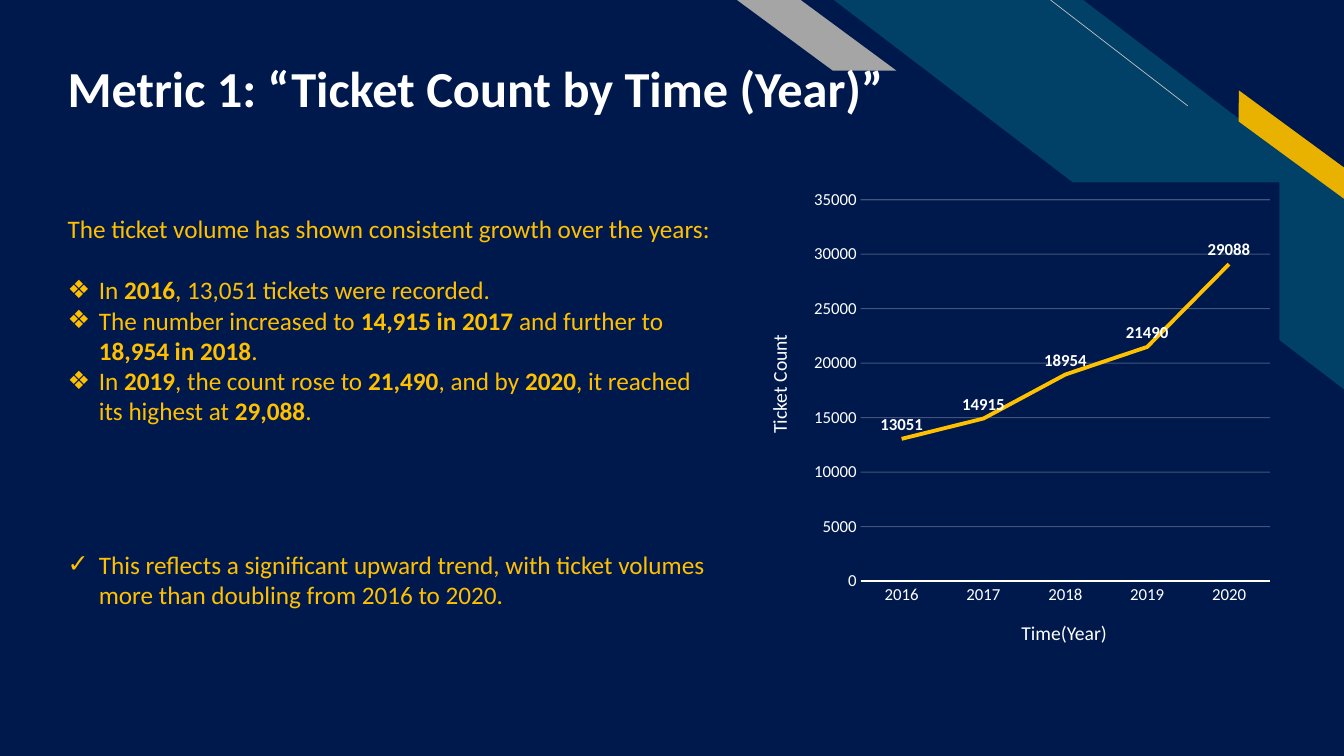
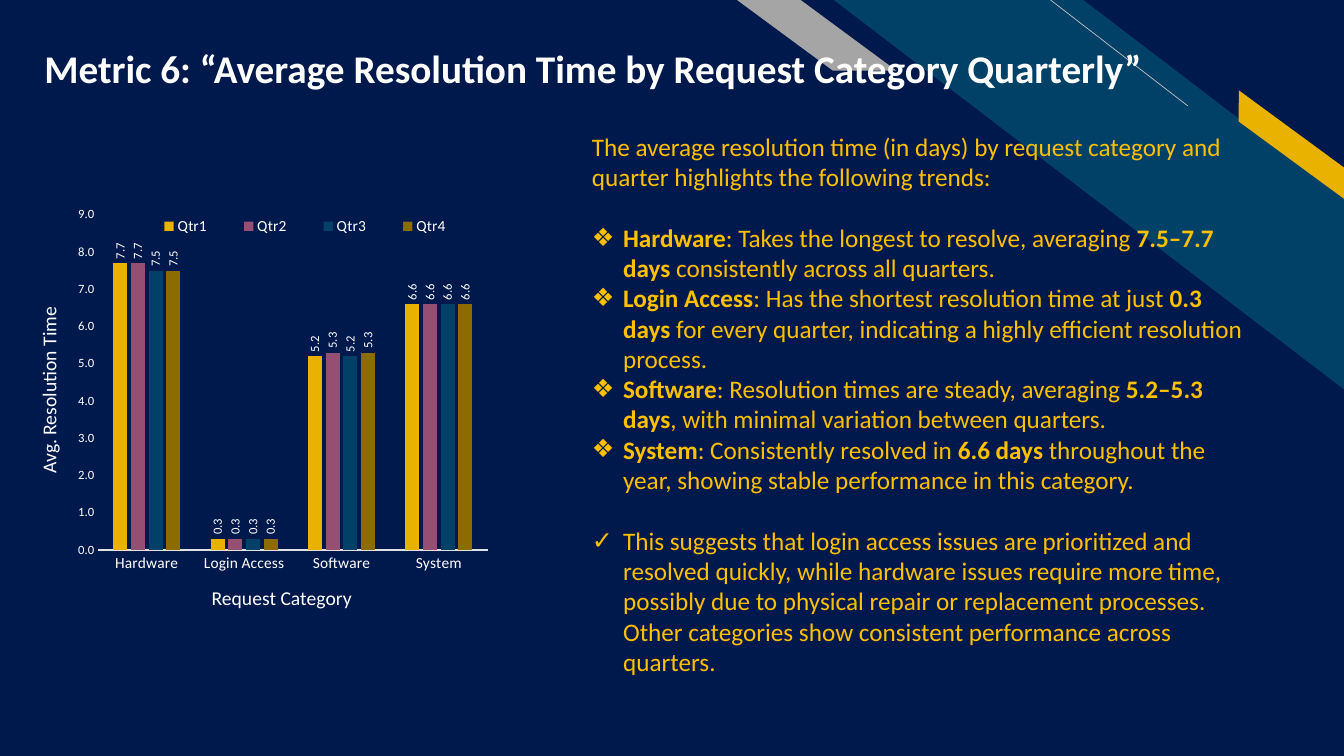
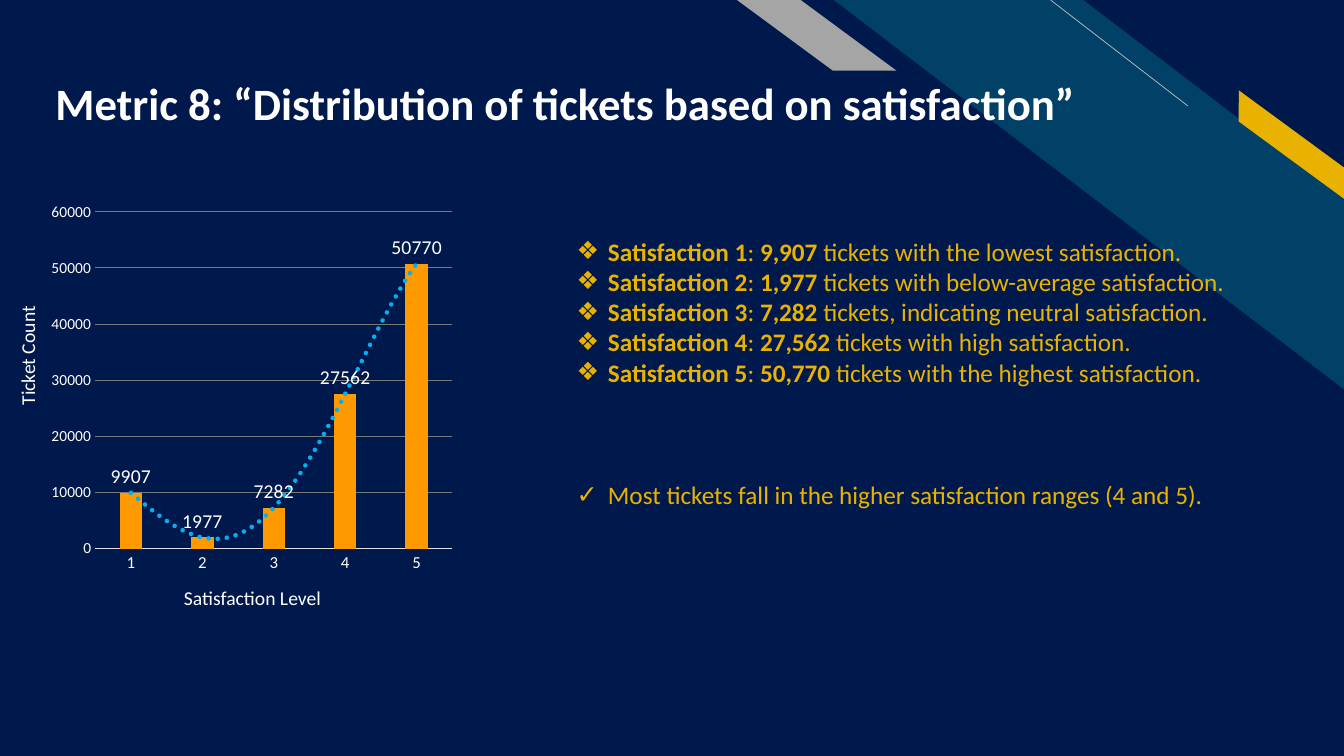
"""Build three ticket-metric slides, each with a chart and its findings."""
from lxml import etree
from pptx import Presentation
from pptx.chart.data import CategoryChartData
from pptx.dml.color import RGBColor
from pptx.enum.chart import XL_CHART_TYPE as CT, XL_LABEL_POSITION as LP
from pptx.enum.chart import XL_LEGEND_POSITION, XL_MARKER_STYLE, XL_TICK_MARK
from pptx.enum.shapes import MSO_CONNECTOR, MSO_SHAPE as MS
from pptx.enum.text import MSO_ANCHOR, MSO_AUTO_SIZE, PP_ALIGN
from pptx.oxml import parse_xml
from pptx.oxml.ns import nsdecls, qn
from pptx.util import Inches, Pt

FONT = "Calibri"
NAVY, TEAL, GOLD, AMBER = "00194C", "014067", "EAB200", "FFC000"
WHITE, GREY, PALE = "FFFFFF", "A5A5A5", "E2E2E2"
DIAMOND, CHECK = "❖", "✓"
LINE = 22

SLIDES = [
    dict(
        title=("Metric 1: “Ticket Count by Time (Year)”", 36, (0.57, 0.51, 9.11, 0.67)),
        box=(0.57, 2.07, 6.67, 4.04), color=AMBER,
        body=[
            ("", 0, "The ticket volume has shown consistent growth over the years:"),
            (DIAMOND, 1, "In **2016**, 13,051 tickets were recorded."),
            (DIAMOND, 0, "The number increased to **14,915 in 2017** and further to **18,954 in 2018**."),
            (DIAMOND, 0, "In **2019**, the count rose to **21,490**, and by **2020**, "
                         "it reached its highest at **29,088**."),
            (CHECK, 4, "This reflects a significant upward trend, with ticket volumes "
                       "more than doubling from 2016 to 2020."),
        ],
        chart=dict(
            kind=CT.LINE, at=(7.97, 1.81, 4.72, 4.3), plot=(0.12, 0.04, 0.86, 0.88),
            cats=["2016", "2017", "2018", "2019", "2020"],
            series=[("Series 1", AMBER, [13051, 14915, 18954, 21490, 29088])],
            fmt="General", top=35000, step=5000, sizes=(12, 12, 12), bold=True,
            base=(WHITE, 1), grid=(WHITE, 25), fill=NAVY),
        captions=[("Time(Year)", (9.19, 6.11, 2.73, 0.34), 0),
                  ("Ticket Count", (6.27, 3.64, 2.92, 0.34), 270)],
    ),
    dict(
        title=("Metric 6: “Average Resolution Time by Request Category Quarterly”", 28,
               (0.34, 0.39, 11.81, 0.52)),
        box=(5.77, 1.25, 6.67, 5.86), color=AMBER,
        body=[
            ("", 0, "The average resolution time (in days) by request category and quarter "
                    "highlights the following trends:"),
            (DIAMOND, 1, "**Hardware**: Takes the longest to resolve, averaging **7.5–7.7 days** "
                         "consistently across all quarters."),
            (DIAMOND, 0, "**Login Access**: Has the shortest resolution time at just **0.3 days** "
                         "for every quarter, indicating a highly efficient resolution process."),
            (DIAMOND, 0, "**Software**: Resolution times are steady, averaging **5.2–5.3 days**, "
                         "with minimal variation between quarters."),
            (DIAMOND, 0, "**System**: Consistently resolved in **6.6 days** throughout the year, "
                         "showing stable performance in this category."),
            (CHECK, 1, "This suggests that login access issues are prioritized and resolved quickly, "
                       "while hardware issues require more time, possibly due to physical repair or "
                       "replacement processes. Other categories show consistent performance across "
                       "quarters."),
        ],
        chart=dict(
            kind=CT.COLUMN_CLUSTERED, at=(0.68, 1.98, 4.89, 3.78), plot=(0.06, 0.04, 0.79, 0.88),
            cats=["Hardware", "Login Access", "Software", "System"],
            series=[("Qtr1", GOLD, [7.7, 0.3, 5.2, 6.6]), ("Qtr2", "954F72", [7.7, 0.3, 5.3, 6.6]),
                    ("Qtr3", TEAL, [7.5, 0.3, 5.2, 6.6]), ("Qtr4", "8C6B00", [7.5, 0.3, 5.3, 6.6])],
            fmt="0.0", top=9, step=1, sizes=(11, 9, 9), base=(PALE, 0.75),
            upright=True, legend=(0.13, 0.04, 0.7, 0.06)),
        captions=[("Request Category", (1.43, 5.76, 2.73, 0.34), 0),
                  ("Avg. Resolution Time", (-0.88, 3.7, 2.73, 0.34), 270)],
    ),
    dict(
        title=("Metric 8: “Distribution of tickets based on satisfaction”", 32,
               (0.45, 0.66, 11.42, 0.63)),
        box=(5.62, 2.29, 7.35, 3.13), color=GOLD,
        body=[
            (DIAMOND, 0, "**Satisfaction 1**: **9,907** tickets with the lowest satisfaction."),
            (DIAMOND, 0, "**Satisfaction 2**: **1,977** tickets with below-average satisfaction."),
            (DIAMOND, 0, "**Satisfaction 3**: **7,282** tickets, indicating neutral satisfaction."),
            (DIAMOND, 0, "**Satisfaction 4**: **27,562** tickets with high satisfaction."),
            (DIAMOND, 0, "**Satisfaction 5**: **50,770** tickets with the highest satisfaction."),
            (CHECK, 3, "Most tickets fall in the higher satisfaction ranges (4 and 5)."),
        ],
        chart=dict(
            kind=CT.COLUMN_CLUSTERED, at=(0.45, 1.91, 4.12, 3.84), plot=(0.12, 0.05, 0.86, 0.87),
            cats=["1", "2", "3", "4", "5"],
            series=[("Series 1", "FF9900", [9907, 1977, 7282, 27562, 50770])],
            fmt="General", top=60000, step=10000, sizes=(12, 11, 14), base=(PALE, 0.75),
            grid=("797979", 100), trend="00B0F0"),
        captions=[("Satisfaction Level", (1.14, 5.76, 2.73, 0.34), 0),
                  ("Ticket Count", (-1.09, 3.36, 2.73, 0.34), 270)],
    ),
]

BANDS = [
    (MS.DIAGONAL_STRIPE, (8.27, 0, 5.07, 3.87), 0.512, 0, TEAL),
    (MS.PARALLELOGRAM, (12.07, 1.31, 1.48, 0.25), 0.72, 36.3, GOLD),
    (MS.PARALLELOGRAM, (7.31, 0, 1.58, 0.7), 1.356, 0, GREY),
]


def rgb(color):
    return RGBColor.from_string(color)


def inches(box):
    return [Inches(v) for v in box]


def place(sp, box):
    sp.left, sp.top, sp.width, sp.height = inches(box)


def style(font, size, color, bold=False):
    font.name, font.size, font.bold = FONT, Pt(size), bold
    font.color.rgb = rgb(color)


def add_caption(s, text, box, rotation):
    sp = s.shapes.add_textbox(*inches(box))
    sp.rotation = rotation
    tf = sp.text_frame
    tf.word_wrap = True
    p = tf.paragraphs[0]
    p.text, p.alignment = text, PP_ALIGN.CENTER
    style(p.runs[0].font, 14, WHITE)


def add_bands(s, layout):
    parts = []
    for kind, box, adj, rotation, color in BANDS:
        sp = s.shapes.add_shape(kind, *inches(box))
        sp.adjustments[0] = adj
        sp.rotation = rotation
        sp.shadow.inherit = False
        sp.fill.solid()
        sp.fill.fore_color.rgb = rgb(color)
        sp.line.fill.background()
        sp.element.spPr.find(qn("a:xfrm")).set("flipH", "1")
        parts.append(sp)
    cn = s.shapes.add_connector(MSO_CONNECTOR.STRAIGHT, *inches((10.42, 0, 11.78, 1.05)))
    cn.line.color.rgb, cn.line.width = rgb("BFBFBF"), Pt(0.5)
    etree.SubElement(cn.element.spPr, qn("a:effectLst"))
    for i, sp in enumerate(parts + [cn]):
        sp.element.find(".//" + qn("p:cNvPr")).set("id", str(20 + i))
        layout.shapes.element.insert(2 + i, sp.element)


def set_title(sp, text, size, box):
    place(sp, box)
    tf = sp.text_frame
    tf.auto_size, tf.vertical_anchor = MSO_AUTO_SIZE.NONE, MSO_ANCHOR.BOTTOM
    tf.margin_bottom = 0
    p = tf.paragraphs[0]
    p.text, p.alignment, p.line_spacing = text, PP_ALIGN.LEFT, 0.9
    style(p.runs[0].font, size, WHITE, True)


def set_body(sp, box, color, items):
    place(sp, box)
    tf = sp.text_frame
    tf.auto_size = MSO_AUTO_SIZE.NONE
    for i, (bullet, gap, text) in enumerate(items):
        p = tf.add_paragraph() if i else tf.paragraphs[0]
        p.space_before = Pt(gap * LINE)
        pPr = p._p.get_or_add_pPr()
        hang = Inches(0.31) if bullet else 0
        pPr.set("marL", str(hang))
        pPr.set("indent", str(-hang))
        if bullet:
            etree.SubElement(pPr, qn("a:buChar")).set("char", bullet)
        else:
            etree.SubElement(pPr, qn("a:buNone"))
        for j, part in enumerate(text.split("**")):
            if part:
                r = p.add_run()
                r.text = part
                style(r.font, 18, color, j % 2 == 1)


def set_layout(parent, index, box, inner=False):
    old = parent.find(qn("c:layout"))
    if old is not None:
        parent.remove(old)
    layout = etree.Element(qn("c:layout"))
    manual = etree.SubElement(layout, qn("c:manualLayout"))
    values = [("layoutTarget", "inner")] if inner else []
    values += [("xMode", "edge"), ("yMode", "edge"), *zip("xywh", map(str, box))]
    for tag, val in values:
        etree.SubElement(manual, qn("c:" + tag)).set("val", val)
    parent.insert(index, layout)


def add_trend(ser, color):
    ser.find(qn("c:cat")).addprevious(parse_xml(
        f'<c:trendline {nsdecls("c", "a")}><c:spPr><a:ln w="{Pt(3.25)}" cap="rnd"><a:solidFill>'
        f'<a:srgbClr val="{color}"/></a:solidFill><a:prstDash val="sysDot"/></a:ln></c:spPr>'
        '<c:trendlineType val="poly"/><c:order val="4"/><c:dispRSqr val="0"/>'
        '<c:dispEq val="0"/></c:trendline>'))


def style_axes(chart, c):
    cat, val = chart.category_axis, chart.value_axis
    for axis, size in zip((cat, val), c["sizes"]):
        axis.major_tick_mark = axis.minor_tick_mark = XL_TICK_MARK.NONE
        axis.has_major_gridlines = False
        style(axis.tick_labels.font, size, WHITE)
    cat.format.line.color.rgb, cat.format.line.width = rgb(c["base"][0]), Pt(c["base"][1])
    val.format.line.fill.background()
    val.minimum_scale, val.maximum_scale, val.major_unit = 0, c["top"], c["step"]
    val.tick_labels.number_format = c["fmt"]
    val.tick_labels.number_format_is_linked = False
    if "grid" in c:
        color, opacity = c["grid"]
        val.has_major_gridlines = True
        line = val.major_gridlines.format.line
        line.color.rgb, line.width = rgb(color), Pt(0.75)
        grid = chart.element.find(".//" + qn("c:majorGridlines"))
        clr = grid.find(".//" + qn("a:srgbClr"))
        etree.SubElement(clr, qn("a:alpha")).set("val", str(opacity * 1000))


def style_series(ser, color, c):
    if c["kind"] == CT.LINE:
        ser.smooth = False
        ser.marker.style = XL_MARKER_STYLE.NONE
        ser.format.line.color.rgb, ser.format.line.width = rgb(color), Pt(2.75)
    else:
        ser.format.fill.solid()
        ser.format.fill.fore_color.rgb = rgb(color)
    labels = ser.data_labels
    labels.show_value = True
    labels.position = LP.ABOVE if c["kind"] == CT.LINE else LP.OUTSIDE_END
    labels.number_format, labels.number_format_is_linked = c["fmt"], False
    style(labels.font, c["sizes"][2], WHITE, c.get("bold", False))
    if c.get("upright"):
        body = labels._element.find(".//" + qn("a:bodyPr"))
        body.set("rot", "-5400000")
        body.set("vert", "horz")
    if "trend" in c:
        add_trend(ser._element, c["trend"])


def add_chart(s, c):
    data = CategoryChartData()
    data.categories = c["cats"]
    for name, _, vals in c["series"]:
        data.add_series(name, vals)
    chart = s.shapes.add_chart(c["kind"], *inches(c["at"]), data).chart
    chart.has_title = False
    style(chart.font, 10, "3F3F3F")
    plot = chart.plots[0]
    plot.vary_by_categories = False
    if c["kind"] != CT.LINE:
        plot.gap_width, plot.overlap = 219, -27
    style_axes(chart, c)
    for ser, (_, color, _) in zip(plot.series, c["series"]):
        style_series(ser, color, c)
    chart.has_legend = "legend" in c
    if chart.has_legend:
        legend = chart.legend
        legend.position, legend.include_in_layout = XL_LEGEND_POSITION.RIGHT, True
        style(legend.font, 11, WHITE)
        set_layout(legend._element, 1, c["legend"])
    space = chart.element
    set_layout(space.find(".//" + qn("c:plotArea")), 0, c["plot"], inner=True)
    if "fill" in c:
        space.find(qn("c:txPr")).addprevious(parse_xml(
            f'<c:spPr {nsdecls("c", "a")}><a:solidFill><a:srgbClr val="{c["fill"]}"/></a:solidFill>'
            '<a:ln><a:noFill/></a:ln></c:spPr>'))


def main():
    prs = Presentation()
    prs.slide_width, prs.slide_height = Inches(13.33), Inches(7.5)
    layout = prs.slide_layouts[1]
    layout.background.fill.solid()
    layout.background.fill.fore_color.rgb = rgb(NAVY)
    for i, page in enumerate(SLIDES):
        s = prs.slides.add_slide(layout)
        if i == 0:
            add_bands(s, layout)
        set_title(s.shapes.title, *page["title"])
        set_body(s.placeholders[1], page["box"], page["color"], page["body"])
        add_chart(s, page["chart"])
        for caption in page["captions"]:
            add_caption(s, *caption)
    prs.save("out.pptx")


if __name__ == "__main__":
    main()
